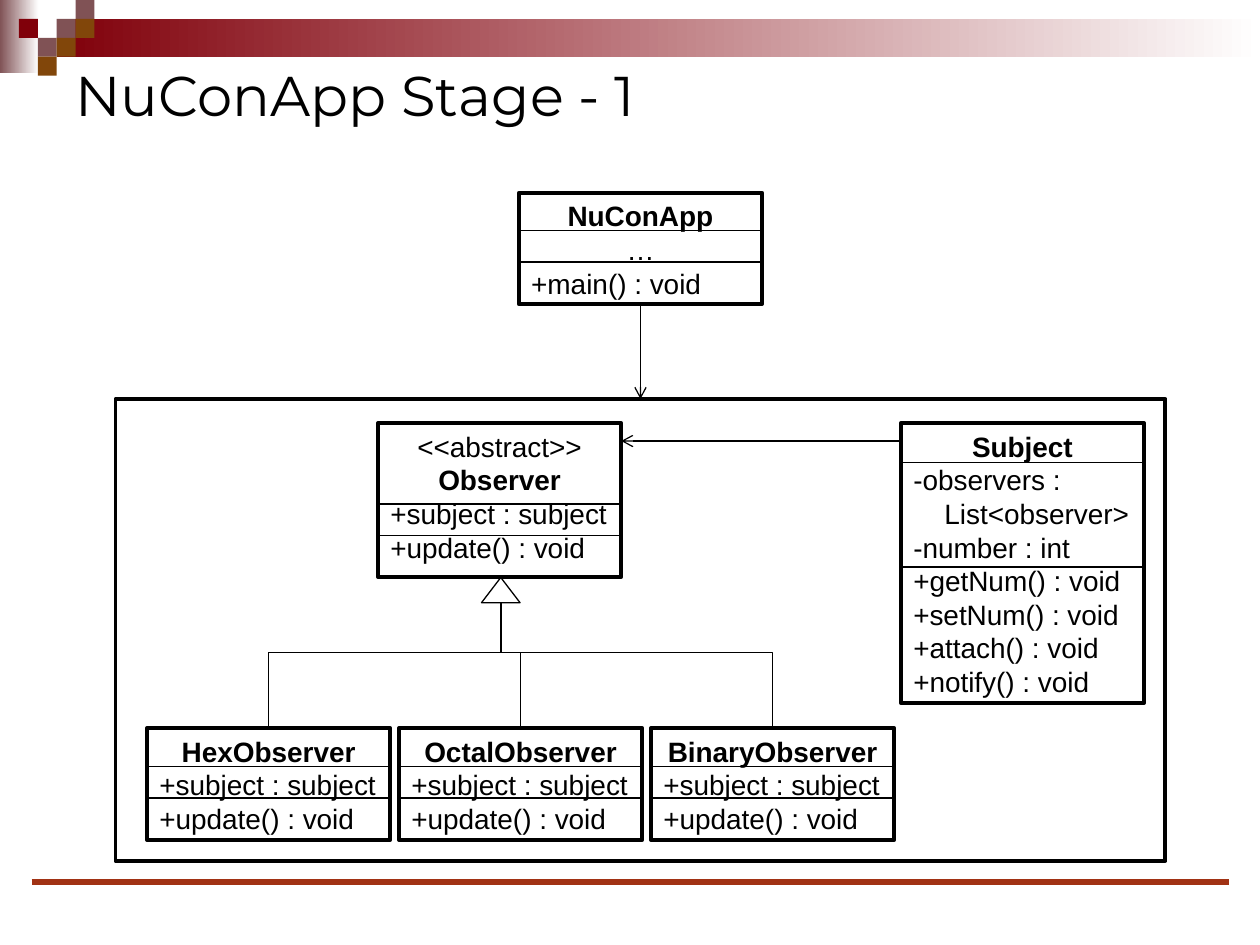
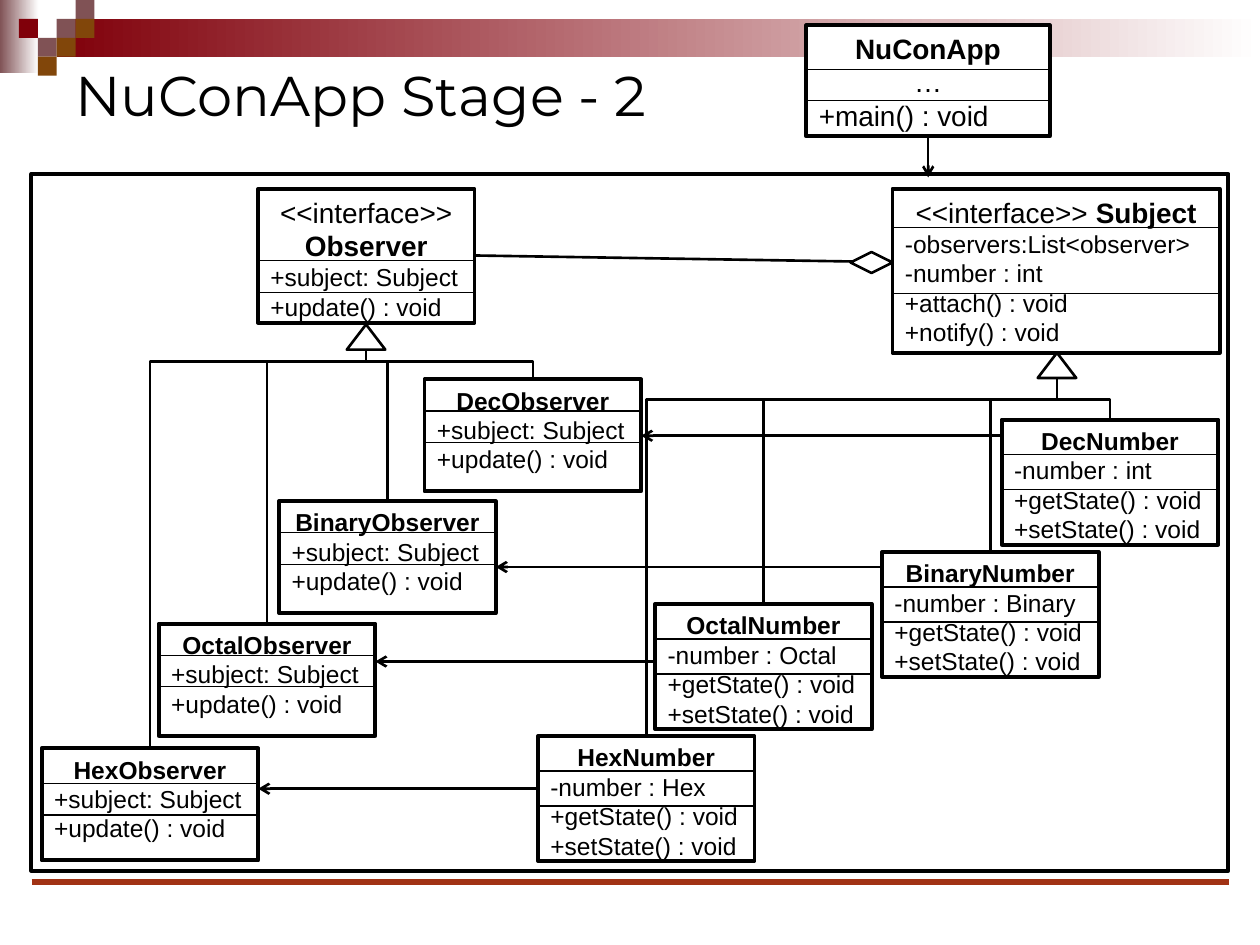
from lxml.etree import SubElement
from pptx import Presentation
from pptx.dml.color import RGBColor
from pptx.enum.shapes import MSO_CONNECTOR as LINK, MSO_SHAPE as SHAPE
from pptx.enum.text import MSO_ANCHOR as ANCHOR, PP_ALIGN as ALIGN
from pptx.oxml.ns import qn
from pptx.util import Pt

BLACK = RGBColor(0x00, 0x00, 0x00)
WHITE = RGBColor(0xFF, 0xFF, 0xFF)
RED = RGBColor(0x80, 0x00, 0x0A)
PLUM = RGBColor(0x80, 0x52, 0x55)
BROWN = RGBColor(0x81, 0x46, 0x0A)
RUST = RGBColor(0xA1, 0x32, 0x14)

TILE = 10.8
TILES = [  # column, row, colour
    (3, 1, PLUM), (4, 0, PLUM), (4, 1, BROWN), (2, 2, PLUM),
    (1, 1, RED), (3, 2, BROWN), (2, 3, BROWN),
]
THIN, MEDIUM, THICK = 0.75, 1.5, 2.25
APP_HEAD = [[("NuConApp", True)], [("…", False)]]


class Deck:
    """Holds the style and the slide being drawn."""

    title_font, body_font = "Montserrat", "Arial"

    def __init__(self):
        """Open an empty 10 by 7.5 inch presentation."""
        self.prs = Presentation()
        self.prs.slide_width, self.prs.slide_height = Pt(720), Pt(540)
        self.shapes = None

    def new_slide(self, title):
        """Start a slide with the bands, tiles, footer line and title."""
        self.shapes = self.prs.slides.add_slide(self.prs.slide_layouts[6]).shapes
        self.fade(0, 0, 22, 42, PLUM)
        self.fade(3 * TILE, TILE, 720 - 3 * TILE, 2 * TILE, RED)
        for col, row, color in TILES:
            self.shape(SHAPE.RECTANGLE, col * TILE, row * TILE, TILE, TILE, fill=color)
        self.line(18, 504, 702, 504, 3, RUST)
        tf = self.shapes.add_textbox(Pt(36), Pt(30), Pt(648), Pt(48)).text_frame
        tf.word_wrap = True
        tf.vertical_anchor = ANCHOR.MIDDLE
        tf.text = title
        self.style(tf.paragraphs[0].runs[0], 32, self.title_font)

    def style(self, r, size, font, bold=False):
        """Format one run."""
        r.font.name, r.font.size, r.font.bold = font, Pt(size), bold
        r.font.color.rgb = BLACK

    def shape(self, kind, x, y, w, h, fill=None, weight=None):
        """Draw a preset shape, outlined in black when it has a weight."""
        sp = self.shapes.add_shape(kind, Pt(x), Pt(y), Pt(w), Pt(h))
        sp.shadow.inherit = False
        if fill is None:
            sp.fill.background()
        else:
            sp.fill.solid()
            sp.fill.fore_color.rgb = fill
        if weight is None:
            sp.line.fill.background()
        else:
            sp.line.color.rgb, sp.line.width = BLACK, Pt(weight)
        return sp

    def fade(self, x, y, w, h, color):
        """Draw a band that fades to white at its right end."""
        fill = self.shape(SHAPE.RECTANGLE, x, y, w, h).fill
        fill.gradient()
        fill.gradient_angle = 0
        for stop, rgb in zip(fill.gradient_stops, (color, WHITE)):
            stop.color.rgb = rgb

    def line(self, x1, y1, x2, y2, weight=THIN, color=BLACK, arrow=False,
             kind=LINK.STRAIGHT):
        """Draw a connector, with an open arrowhead at its end if asked."""
        c = self.shapes.add_connector(kind, Pt(x1), Pt(y1), Pt(x2), Pt(y2))
        c.line.color.rgb, c.line.width = color, Pt(weight)
        props = c._element.spPr
        if arrow:
            SubElement(props.find(qn("a:ln")), qn("a:tailEnd"), type="arrow")
        SubElement(props, qn("a:effectLst"))
        return c

    def branch(self, x1, y1, x2, y2, bar_y, weight):
        """Draw an elbow that goes down to bar_y, across, and down again."""
        # The preset elbow starts sideways, so it is laid out turned by 90 degrees.
        mid_x, mid_y = (x1 + x2) / 2, (y1 + y2) / 2
        half_w, half_h = (y2 - y1) / 2, abs(x2 - x1) / 2
        c = self.line(mid_x - half_w, mid_y - half_h, mid_x + half_w, mid_y + half_h,
                      weight, kind=LINK.ELBOW)
        xfrm = c._element.spPr.find(qn("a:xfrm"))
        xfrm.set("rot", "16200000" if x2 > x1 else "5400000")
        if x2 > x1:
            xfrm.set("flipH", "1")
        adjust = c._element.spPr.find(qn("a:prstGeom")).find(qn("a:avLst"))
        ratio = round((bar_y - y1) / (y2 - y1) * 100000)
        SubElement(adjust, qn("a:gd"), name="adj1", fmla=f"val {ratio}")

    def inheritance(self, x, y, bar_y, children, weight=THIN):
        """Join the top centres of children to a triangle under their parent."""
        for child_x, child_y in children:
            self.branch(x, y, child_x, child_y, bar_y, weight)
        self.shape(SHAPE.ISOSCELES_TRIANGLE, x - 11, y, 22, 14.4, WHITE, weight)

    def frame(self, x, y, w, h):
        """Draw the package outline."""
        self.shape(SHAPE.RECTANGLE, x, y, w, h, weight=THICK)

    def class_box(self, x, y, w, h, head, members, rules, sizes=(16, 16),
                  fill=None, indented=()):
        """Draw a UML class and return its top centre.

        head is a name or a list of lines of (text, bold) runs; rules are the
        divider offsets; sizes are for head and members.
        """
        if isinstance(head, str):
            head = [[(head, True)]]
        tf = self.shape(SHAPE.RECTANGLE, x, y, w, h, fill, THICK).text_frame
        tf.word_wrap = True
        tf.vertical_anchor = ANCHOR.TOP
        rows = [(runs, ALIGN.CENTER, sizes[0]) for runs in head]
        rows += [([(text, False)], ALIGN.LEFT, sizes[1]) for text in members]
        for i, (runs, align, size) in enumerate(rows):
            p = tf.add_paragraph() if i else tf.paragraphs[0]
            p.alignment = align
            for text, bold in runs:
                r = p.add_run()
                r.text = text
                self.style(r, size, self.body_font, bold)
            if runs[0][0] in indented:
                p._p.get_or_add_pPr().set("marL", str(Pt(17.8)))
        for offset in rules:
            self.line(x, y + offset, x + w, y + offset)
        return x + w / 2, y


def stage_one(deck):
    """Draw one subject watched by three observers."""
    deck.new_slide("NuConApp Stage - 1")
    deck.class_box(514.8, 241.8, 139, 160, "Subject",
                   ["-observers :", "List<observer>", "-number : int",
                    "+getNum() : void", "+setNum() : void",
                    "+attach() : void", "+notify() : void"],
                   (22.4, 82.2), indented=("List<observer>",))
    members = ["+subject : subject", "+update() : void"]
    deck.class_box(216, 241.8, 139, 88, [[("<<abstract>>", False)], [("Observer", True)]],
                   members, (46.2, 64.2))
    children = [deck.class_box(84 + 144 * i, 416, 139, 64, f"{base}Observer",
                               members, (22, 40))
                for i, base in enumerate(("Hex", "Octal", "Binary"))]
    deck.line(514.8, 252, 355, 252, arrow=True)
    deck.inheritance(286.2, 330, 373, children)
    deck.frame(66, 228, 600, 264)
    deck.class_box(296.5, 110.2, 139, 63.6, APP_HEAD, ["+main() : void"], (21.6, 39.6))
    deck.line(366, 174, 366, 228, arrow=True)


def stage_two(deck):
    """Draw each number format as a subject with its own observer."""
    deck.new_slide("NuConApp Stage - 2")
    deck.class_box(510, 108, 187, 93.6, [[("<<interface>> ", False), ("Subject", True)]],
                   ["-observers:List<observer>", "-number : int",
                    "+attach() : void", "+notify() : void"],
                   (22, 59.8), (16, 14))
    deck.line(510, 149.8, 271, 146, MEDIUM)
    deck.shape(SHAPE.FLOWCHART_DECISION, 486, 144, 24, 12, WHITE, MEDIUM)
    deck.frame(18, 99.4, 684, 398.2)
    deck.class_box(460.8, 14.4, 139, 63.6, APP_HEAD, ["+main() : void"], (25.2, 43.2),
                   fill=WHITE)
    deck.line(530.4, 78, 530.4, 101.4, MEDIUM, arrow=True)

    width, sizes = 123.8, (14, 14)
    members = ["+subject: Subject", "+update() : void"]
    deck.class_box(147.4, 108, width, 76.4,
                   [[("<<interface>>", False)], [("Observer", True)]],
                   members, (41, 59), (16, 14))
    formats = [  # base, type, observer x, y, first rule, number x, y, arrow y
        ("Hex", "Hex", 23.8, 427.7, 20, 307.4, 420.6, 450.7),
        ("Octal", "Octal", 90.7, 356.4, 18, 374.4, 345.2, 378),
        ("Binary", "Binary", 159.5, 286.4, 18, 504, 315.4, 324),
        ("Dec", "int", 242.6, 216.8, 18, 572.4, 239.8, 249),
    ]
    observers, numbers = [], []
    for base, kind, ox, oy, rule, nx, ny, arrow_y in formats:
        observers.append(deck.class_box(ox, oy, width, 64, f"{base}Observer", members,
                                        (rule, rule + 18), sizes))
        numbers.append(deck.class_box(nx, ny, width, 71.4, f"{base}Number",
                                      [f"-number : {kind}", "+getState() : void",
                                       "+setState() : void"], (20, 40), sizes))
        deck.line(nx, arrow_y, ox + width, arrow_y, MEDIUM, arrow=True)
    deck.inheritance(209.2, 185.4, 206.6, observers, MEDIUM)
    deck.inheritance(604, 201.6, 228.4, numbers, MEDIUM)


def main():
    """Build both slides and save them."""
    deck = Deck()
    stage_one(deck)
    stage_two(deck)
    deck.prs.save("out.pptx")


main()
